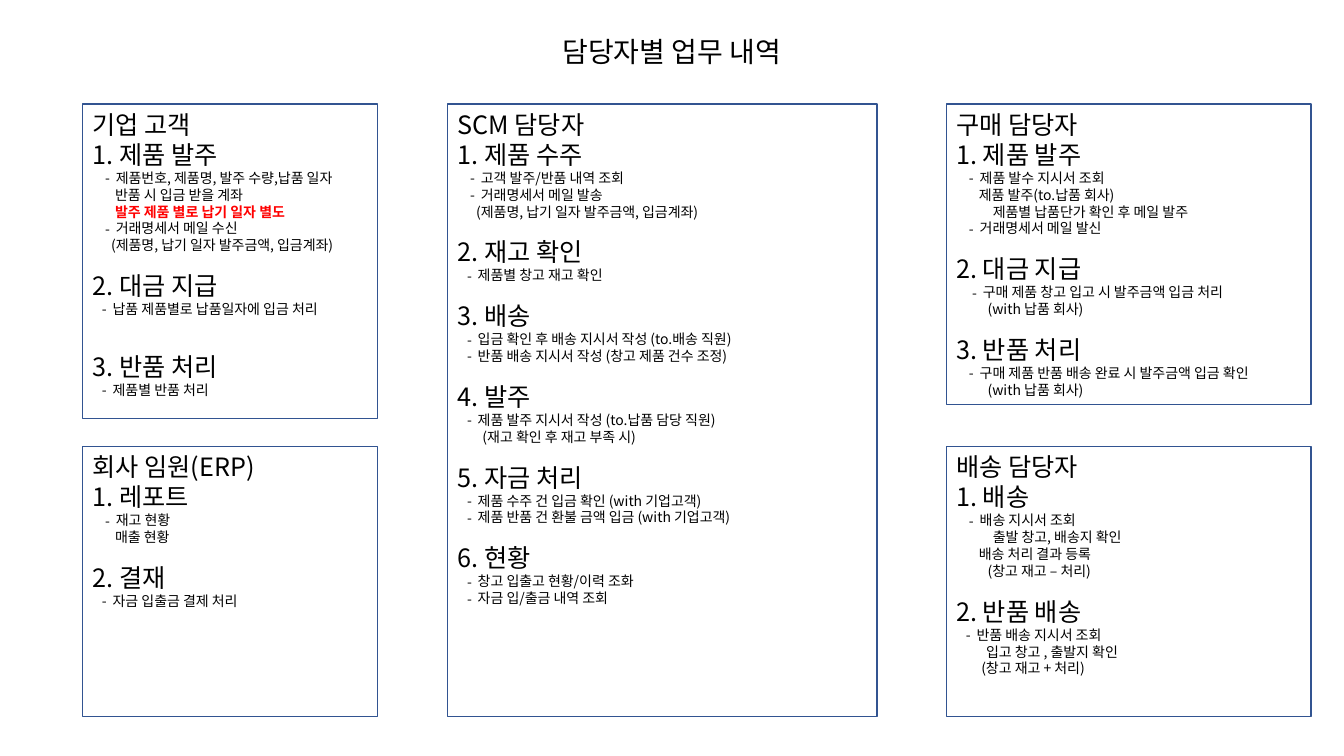
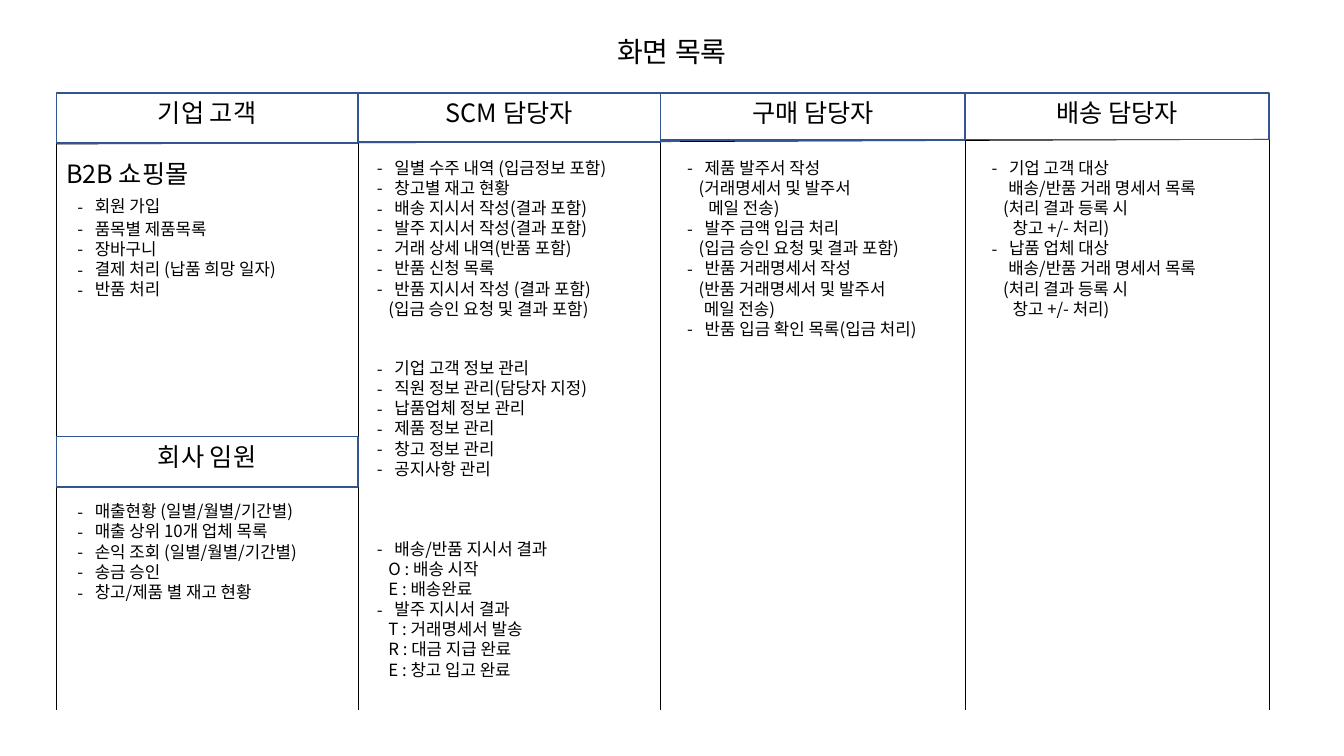
from functools import partial
from itertools import pairwise

from lxml.etree import SubElement
from pptx import Presentation
from pptx.dml.color import RGBColor
from pptx.enum.shapes import MSO_CONNECTOR as Connector, MSO_SHAPE as Shape
from pptx.enum.text import MSO_ANCHOR as Anchor, PP_ALIGN as Align
from pptx.oxml.ns import qn
from pptx.util import Cm, Pt

FONT = "Noto Sans CJK KR"
BLACK, RED, BLUE = "000000", "FF0000", "325491"
SLIDE_WIDTH, SLIDE_HEIGHT = 33.87, 19.05


def rgb(value):
    """Turn a hex string into a colour."""
    return RGBColor.from_string(value)


def heading(text, before=0):
    """Describe a heading line; before is the space above in points."""
    return dict(text=text, size=18, before=before)


def bullet(text, dash=0.32, gap=0.27, size=10, **spacing):
    """Describe a dashed line whose dash sits at the given indent."""
    return dict(text=text, size=size, left=dash + gap, hang=gap, **spacing)


def note(text, left=0.57, size=10, **look):
    """Describe an indented line without a dash."""
    return dict(text=text, size=size, left=left, **look)


short_bullet = partial(bullet, dash=0.24)
screen_bullet = partial(bullet, dash=0.28, gap=0.44, size=12)
screen_note = partial(note, size=12)


def add_paragraph(frame, text, size=18, left=0, hang=0, before=0, after=0,
                  color=BLACK, bold=False, align=Align.LEFT):
    """Write one formatted paragraph, with a dash when it hangs."""
    paragraph = frame.paragraphs[0]
    if paragraph.runs:
        paragraph = frame.add_paragraph()
    paragraph.alignment = align
    paragraph.space_before, paragraph.space_after = Pt(before), Pt(after)
    properties = paragraph._p.get_or_add_pPr()
    properties.set("marL", str(Cm(left)))
    properties.set("indent", str(-Cm(hang)))
    if hang:
        SubElement(properties, qn("a:buFont")).set("typeface", FONT)
        SubElement(properties, qn("a:buChar")).set("char", "-")
    run = paragraph.add_run()
    run.text = text
    run.font.size, run.font.bold, run.font.name = Pt(size), bold, FONT
    run.font.color.rgb = rgb(color)
    SubElement(run._r.get_or_add_rPr(), qn("a:ea")).set("typeface", FONT)


def fill_frame(frame, lines):
    """Write the described lines from the top of a text frame."""
    frame.word_wrap = True
    frame.vertical_anchor = Anchor.TOP
    for line in lines:
        add_paragraph(frame, **line)


def add_text(slide, box, lines):
    """Place a text box at (left, top, width, height)."""
    fill_frame(slide.shapes.add_textbox(*map(Cm, box)).text_frame, lines)


def add_box(slide, box, lines):
    """Place an outlined rectangle with text."""
    shape = slide.shapes.add_shape(Shape.RECTANGLE, *map(Cm, box))
    shape.shadow.inherit = False
    shape.fill.background()
    shape.line.color.rgb = rgb(BLUE)
    shape.line.width = Pt(1)
    fill_frame(shape.text_frame, lines)


def add_line(slide, *ends):
    """Draw a thin line from (x, y) to (x, y)."""
    line = slide.shapes.add_connector(Connector.STRAIGHT, *map(Cm, ends))
    line.line.color.rgb = rgb(BLACK)
    line.line.width = Pt(0.5)
    SubElement(line._element.spPr, qn("a:effectLst"))


def add_header(slide, box, text):
    """Place an outlined box with a centred column title."""
    add_box(slide, box, [dict(text=text, align=Align.CENTER)])


def add_titled_slide(presentation, title):
    """Add a blank slide with the shared centred title."""
    slide = presentation.slides.add_slide(presentation.slide_layouts[6])
    add_text(slide, (0, 0.74, SLIDE_WIDTH, 1.12),
             [dict(text=title, size=20, align=Align.CENTER)])
    return slide


CUSTOMER_TASKS = [
    heading("기업 고객"),
    heading("1. 제품 발주"),
    bullet("제품번호, 제품명, 발주 수량,납품 일자"),
    note("반품 시 입금 받을 계좌"),
    note("발주 제품 별로 납기 일자 별도", color=RED, bold=True),
    bullet("거래명세서 메일 수신"),
    note("(제품명, 납기 일자 발주금액, 입금계좌)", 0.47),
    heading("2. 대금 지급", 12),
    short_bullet("납품 제품별로 납품일자에 입금 처리"),
    heading("3. 반품 처리", 24),
    short_bullet("제품별 반품 처리"),
]
EXECUTIVE_TASKS = [
    heading("회사 임원(ERP)"),
    heading("1. 레포트"),
    bullet("재고 현황"),
    note("매출 현황"),
    heading("2. 결재", 12),
    short_bullet("자금 입출금 결제 처리"),
]
SCM_TASKS = [
    heading("SCM 담당자"),
    heading("1. 제품 수주"),
    bullet("고객 발주/반품 내역 조회"),
    bullet("거래명세서 메일 발송"),
    note("(제품명, 납기 일자 발주금액, 입금계좌)", 0.47),
    heading("2. 재고 확인", 12),
    short_bullet("제품별 창고 재고 확인"),
    heading("3. 배송", 12),
    short_bullet("입금 확인 후 배송 지시서 작성 (to.배송 직원)"),
    short_bullet("반품 배송 지시서 작성 (창고 제품 건수 조정)"),
    heading("4. 발주", 12),
    short_bullet("제품 발주 지시서 작성 (to.납품 담당 직원)"),
    note("(재고 확인 후 재고 부족 시)", 0.63),
    heading("5. 자금 처리", 12),
    short_bullet("제품 수주 건 입금 확인 (with 기업고객)"),
    short_bullet("제품 반품 건 환불 금액 입금 (with 기업고객)"),
    heading("6. 현황", 12),
    short_bullet("창고 입출고 현황/이력 조화"),
    short_bullet("자금 입/출금 내역 조회"),
]
PURCHASE_TASKS = [
    heading("구매 담당자"),
    heading("1. 제품 발주"),
    bullet("제품 발수 지시서 조회"),
    note("제품 발주(to.납품 회사)"),
    note("제품별 납품단가 확인 후 메일 발주", 0.92),
    bullet("거래명세서 메일 발신"),
    heading("2. 대금 지급", 12),
    bullet("구매 제품 창고 입고 시 발주금액 입금 처리", dash=0.4),
    note("(with 납품 회사)", 0.79),
    heading("3. 반품 처리", 12),
    bullet("구매 제품 반품 배송 완료 시 발주금액 입금 확인"),
    note("(with 납품 회사)", 0.79),
]
DELIVERY_TASKS = [
    heading("배송 담당자"),
    heading("1. 배송"),
    bullet("배송 지시서 조회"),
    note("출발 창고, 배송지 확인", 0.92),
    note("배송 처리 결과 등록"),
    note("(창고 재고 – 처리)", 0.79),
    heading("2. 반품 배송", 12),
    short_bullet("반품 배송 지시서 조회"),
    note("입고 창고 , 출발지 확인", 0.75),
    note("(창고 재고 + 처리)", 0.63),
]

SHOP_SCREENS = [
    heading("B2B 쇼핑몰"),
    screen_bullet("회원 가입", before=5.5, after=1.5),
    *map(screen_bullet, ["품목별 제품목록", "장바구니",
                         "결제 처리 (납품 희망 일자)", "반품 처리"]),
]
EXECUTIVE_SCREENS = [*map(screen_bullet, [
    "매출현황 (일별/월별/기간별)", "매출 상위 10개 업체 목록",
    "손익 조회 (일별/월별/기간별)", "송금 승인", "창고/제품 별 재고 현황"])]
ORDER_SCREENS = [
    *map(screen_bullet, [
        "일별 수주 내역 (입금정보 포함)", "창고별 재고 현황",
        "배송 지시서 작성(결과 포함)", "발주 지시서 작성(결과 포함)",
        "거래 상세 내역(반품 포함)", "반품 신청 목록",
        "반품 지시서 작성 (결과 포함)"]),
    screen_note("(입금 승인 요청 및 결과 포함)"),
]
MASTER_SCREENS = [*map(screen_bullet, [
    "기업 고객 정보 관리", "직원 정보 관리(담당자 지정)", "납품업체 정보 관리",
    "제품 정보 관리", "창고 정보 관리", "공지사항 관리"])]
STATUS_CODES = [
    screen_bullet("배송/반품 지시서 결과"),
    *map(screen_note, ["O : 배송 시작", "E : 배송완료"]),
    screen_bullet("발주 지시서 결과"),
    *map(screen_note, ["T : 거래명세서 발송", "R : 대금 지급 완료",
                       "E : 창고 입고 완료"]),
]
PURCHASE_SCREENS = [
    screen_bullet("제품 발주서 작성"),
    screen_note("(거래명세서 및 발주서"),
    screen_note("메일 전송)", 0.81),
    screen_bullet("발주 금액 입금 처리"),
    screen_note("(입금 승인 요청 및 결과 포함)"),
    screen_bullet("반품 거래명세서 작성"),
    screen_note("(반품 거래명세서 및 발주서"),
    screen_note("메일 전송)", 0.7),
    screen_bullet("반품 입금 확인 목록(입금 처리)"),
]
DELIVERY_SCREENS = [
    line for target in ("기업 고객 대상", "납품 업체 대상") for line in (
        screen_bullet(target),
        screen_note("배송/반품 거래 명세서 목록", 0.7),
        screen_note("(처리 결과 등록 시"),
        screen_note("창고 +/- 처리)", 0.81))
]


def build_tasks(presentation):
    """Build the slide of duties, one box per role."""
    slide = add_titled_slide(presentation, "담당자별 업무 내역")
    customer, scm, partner = (2.08, 7.44), (11.28, 10.82), (23.85, 9.19)
    upper, lower, bottom = 2.62, 11.25, 18.05
    for (left, width), top, end, lines in (
            (customer, upper, 10.54, CUSTOMER_TASKS),
            (scm, upper, bottom, SCM_TASKS),
            (partner, upper, 10.19, PURCHASE_TASKS),
            (partner, lower, bottom, DELIVERY_TASKS),
            (customer, lower, bottom, EXECUTIVE_TASKS)):
        add_box(slide, (left, top, width, end - top), lines)


def build_screens(presentation):
    """Build the slide of screens, one ruled column per role."""
    slide = add_titled_slide(presentation, "화면 목록")
    edges = [1.42, 9.02, 16.65, 24.32, 31.98]
    top, bottom = 2.34, 17.88
    add_line(slide, edges[0], 3.63, edges[-1], 3.51)
    for edge in edges:
        add_line(slide, edge, top, edge, bottom)
    headers = [("기업 고객", 1.27), ("SCM 담당자", 1.24),
               ("구매 담당자", 1.19), ("배송 담당자", 1.17)]
    for (left, right), (role, height) in zip(pairwise(edges), headers):
        add_header(slide, (left, top, right - left, height), role)
    add_header(slide, (edges[0], 11, edges[1] - edges[0], 1.27), "회사 임원")
    for column, shift, text_top, height, lines in (
            (0, 0, 3.86, 4.62, SHOP_SCREENS),
            (0, 0, 12.5, 3.58, EXECUTIVE_SCREENS),
            (1, -0.05, 3.84, 5.13, ORDER_SCREENS),
            (1, -0.05, 8.89, 3.33, MASTER_SCREENS),
            (1, -0.05, 13.44, 3.84, STATUS_CODES),
            (2, 0.14, 3.84, 6.68, PURCHASE_SCREENS),
            (3, 0.14, 3.84, 6.68, DELIVERY_SCREENS)):
        add_text(slide, (edges[column] + shift, text_top, 7.34, height), lines)


def main():
    """Build and save the presentation."""
    presentation = Presentation()
    presentation.slide_width = Cm(SLIDE_WIDTH)
    presentation.slide_height = Cm(SLIDE_HEIGHT)
    build_tasks(presentation)
    build_screens(presentation)
    presentation.save("out.pptx")


main()
